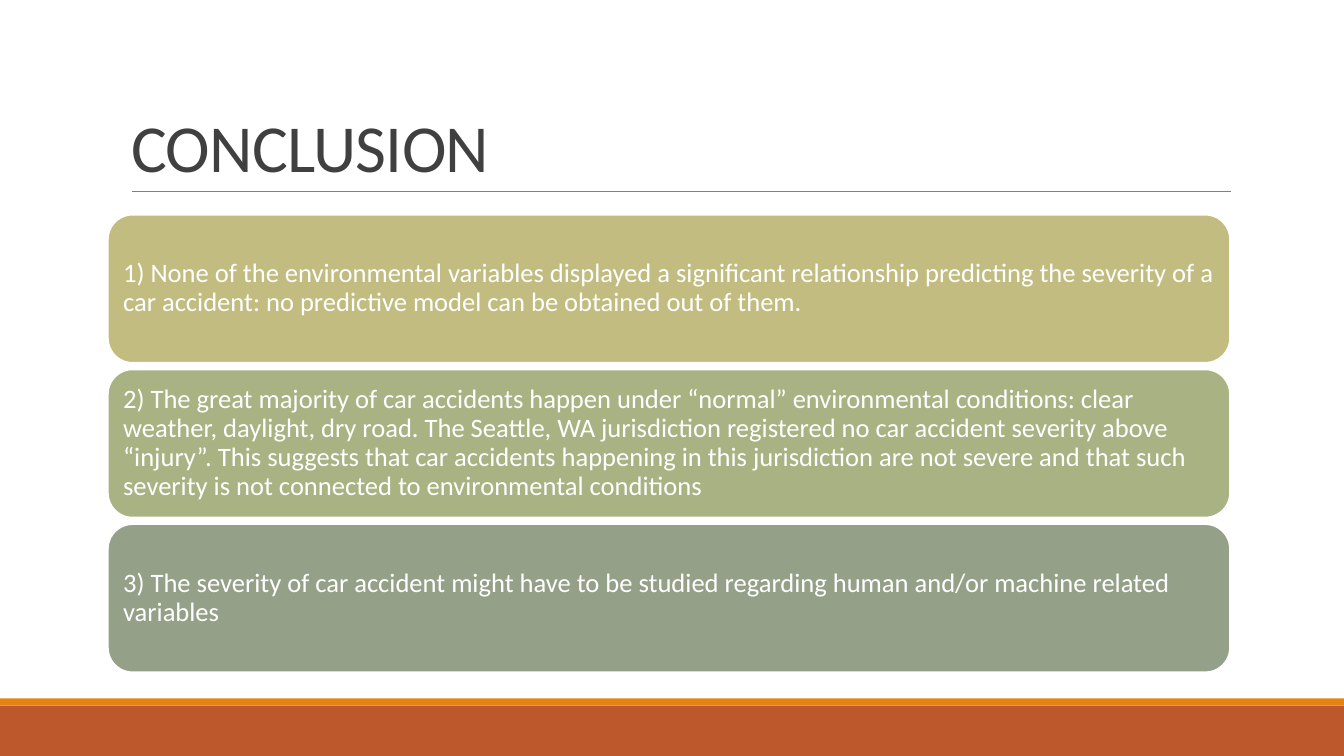
"""Build the conclusion slide with three stacked statements."""
import pptx
import pptx.dml.color
import pptx.enum.shapes
import pptx.enum.text
import pptx.oxml.ns
import pptx.util
from lxml import etree
from pptx.util import Inches

COLORS = {
    "footer": "BD582C",
    "accent": "E48312",
    "rule": "808080",
    "title": "404040",
    "white": "FFFFFF",
}
STATEMENTS = [
    ("C2BC80", "1) None of the environmental variables displayed a significant relationship "
     "predicting the severity of a car accident: no predictive model can be obtained out of them."),
    ("A8B283", "2) The great majority of car accidents happen under “normal” environmental "
     "conditions: clear weather, daylight, dry road. The Seattle, WA jurisdiction registered "
     "no car accident severity above “injury”. This suggests that car accidents happening in "
     "this jurisdiction are not severe and that such severity is not connected to "
     "environmental conditions"),
    ("94A088", "3) The severity of car accident might have to be studied regarding human "
     "and/or machine related variables"),
]
FIRST_TOP, CARD_HEIGHT, CARD_PITCH = 2.13, 1.47, 1.535


def rgb(value):
    return pptx.dml.color.RGBColor.from_string(value)


def style_paragraph(paragraph, size, color, line_spacing):
    paragraph.alignment = pptx.enum.text.PP_ALIGN.LEFT
    paragraph.line_spacing = line_spacing
    paragraph.font.name = "Calibri"
    paragraph.font.size = pptx.util.Pt(size)
    paragraph.font.color.rgb = rgb(color)


def add_block(slide, kind, left, top, width, height, fill):
    block = slide.shapes.add_shape(
        kind, Inches(left), Inches(top), Inches(width), Inches(height))
    block.shadow.inherit = False
    block.fill.solid()
    block.fill.fore_color.rgb = rgb(fill)
    block.line.fill.background()
    return block


def add_rule(slide, left, right, y):
    rule = slide.shapes.add_connector(
        pptx.enum.shapes.MSO_CONNECTOR.STRAIGHT,
        Inches(left), Inches(y), Inches(right), Inches(y))
    rule.line.color.rgb = rgb(COLORS["rule"])
    rule.line.width = pptx.util.Pt(0.5)
    etree.SubElement(rule._element.spPr, pptx.oxml.ns.qn("a:effectLst"))


def set_title(slide, wording):
    title = slide.shapes.title
    title.left, title.top = Inches(1.2), Inches(0.31)
    title.width, title.height = Inches(11), Inches(1.59)
    title.text_frame.text = wording
    title.text_frame.vertical_anchor = pptx.enum.text.MSO_ANCHOR.BOTTOM
    heading = title.text_frame.paragraphs[0]
    style_paragraph(heading, 48, COLORS["title"], 0.85)
    heading.runs[0]._r.get_or_add_rPr().set("spc", "-50")


def add_statement(slide, top, fill, wording):
    card = add_block(slide, pptx.enum.shapes.MSO_SHAPE.ROUNDED_RECTANGLE,
                     1.07, top, 11.13, CARD_HEIGHT, fill)
    card.line.color.rgb = rgb(COLORS["white"])
    card.line.width = pptx.util.Pt(1.25)
    frame = card.text_frame
    frame.word_wrap = True
    frame.vertical_anchor = pptx.enum.text.MSO_ANCHOR.MIDDLE
    frame.margin_left = frame.margin_right = Inches(0.08)
    frame.margin_top = frame.margin_bottom = Inches(0.08)
    frame.text = wording
    style_paragraph(frame.paragraphs[0], 19, COLORS["white"], 0.9)


def main():
    deck = pptx.Presentation()
    deck.slide_width, deck.slide_height = Inches(13.33), Inches(7.5)
    slide = deck.slides.add_slide(deck.slide_layouts[5])
    band = pptx.enum.shapes.MSO_SHAPE.RECTANGLE
    add_block(slide, band, 0, 7, 13.33, 0.5, COLORS["footer"])
    add_block(slide, band, 0, 6.93, 13.33, 0.07, COLORS["accent"])
    add_rule(slide, 1.31, 12.21, 1.9)
    set_title(slide, "CONCLUSION")
    for index, (fill, wording) in enumerate(STATEMENTS):
        add_statement(slide, FIRST_TOP + index * CARD_PITCH, fill, wording)
    deck.save("out.pptx")


if __name__ == "__main__":
    main()
